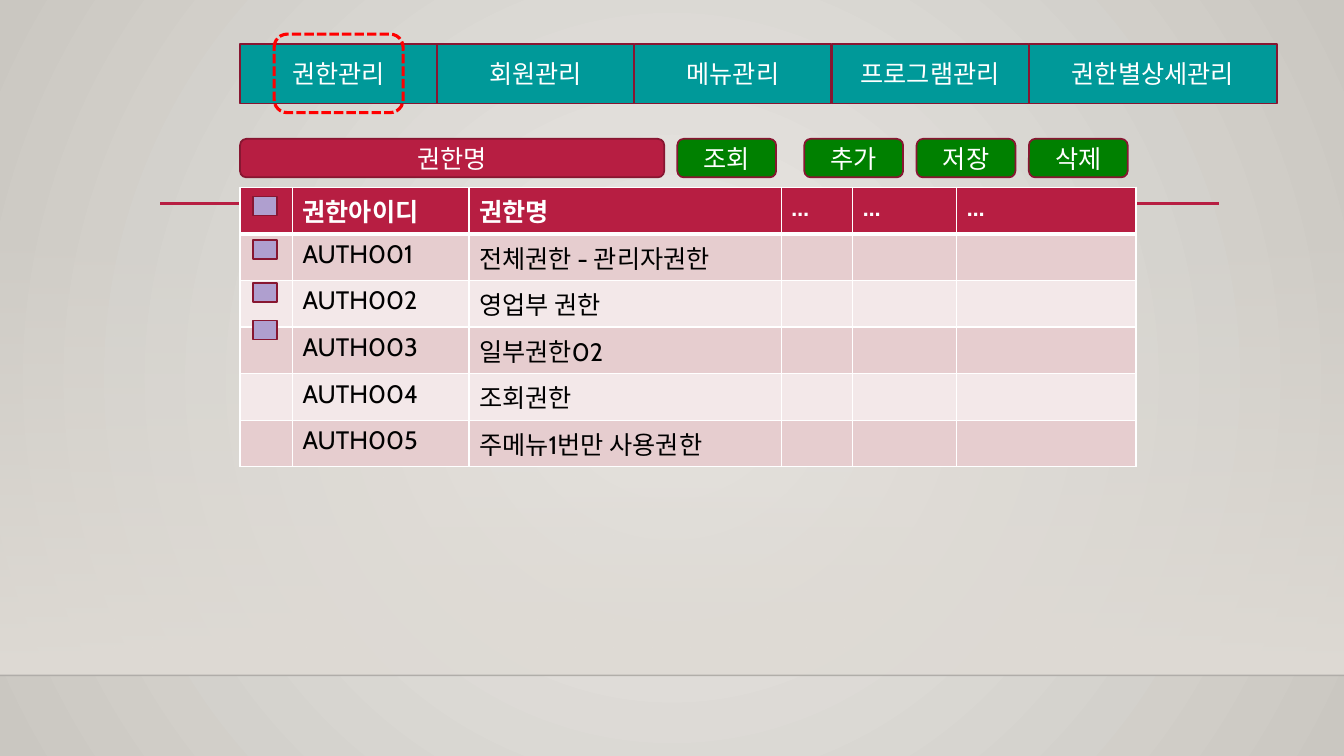
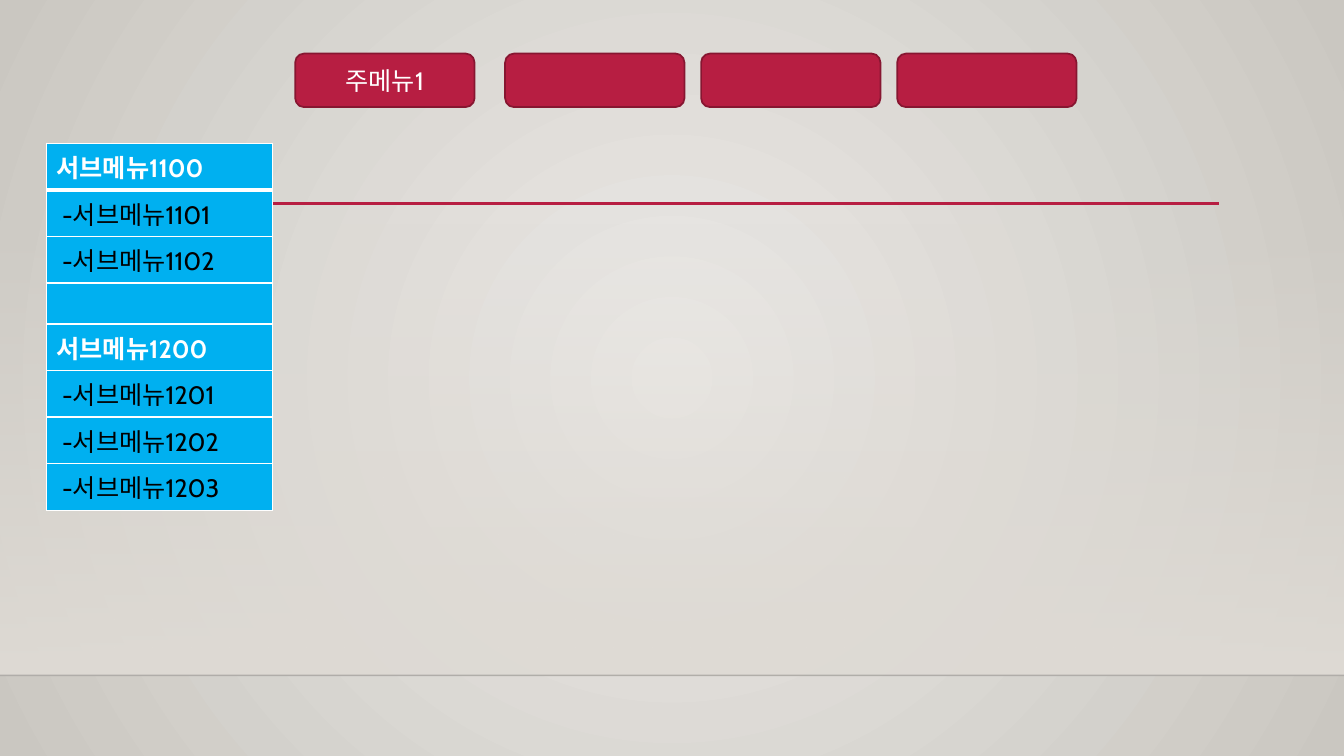
from pptx import Presentation
from pptx.dml.color import RGBColor
from pptx.enum.dml import MSO_LINE
from pptx.enum.shapes import MSO_CONNECTOR, MSO_SHAPE
from pptx.enum.text import MSO_ANCHOR, PP_ALIGN
from pptx.oxml.ns import qn
from pptx.util import Cm, Pt
from lxml.etree import SubElement

CRIMSON = RGBColor(0xB7, 0x1E, 0x42)
DARK_CRIMSON = RGBColor(0x87, 0x16, 0x31)
TEAL = RGBColor(0x00, 0x99, 0x99)
GREEN = RGBColor(0x00, 0x80, 0x00)
LILAC = RGBColor(0xAF, 0x9F, 0xCF)
SKY = RGBColor(0x00, 0xB0, 0xF0)
RED = RGBColor(0xFF, 0x00, 0x00)
WHITE = RGBColor(0xFF, 0xFF, 0xFF)
BLACK = RGBColor(0x00, 0x00, 0x00)
NEAR_BLACK = RGBColor(0x00, 0x00, 0x01)
ROSE = RGBColor(0xE6, 0xCD, 0xCF)
PALE_ROSE = RGBColor(0xF3, 0xE8, 0xE9)
GLOW = RGBColor(0xEC, 0xEA, 0xE7)
GLOW_EDGE = RGBColor(0xCA, 0xC7, 0xC1)
WALL = RGBColor(0xDF, 0xDB, 0xD5)

FONT = "Cabin"
SLIDE_WIDTH, SLIDE_HEIGHT = 33.87, 19.05
FLOOR_TOP = 17.02
ROW_HEIGHT = 1.03


def write_text(frame, text, color=WHITE, size=18, bold=False, align=PP_ALIGN.LEFT):
    """Write one formatted line of text into a text frame."""
    paragraph = frame.paragraphs[0]
    paragraph.alignment = align
    run = paragraph.add_run()
    run.text = text
    run.font.name = FONT
    run.font.size = Pt(size)
    run.font.bold = bold
    run.font.color.rgb = color


def set_opacity(element, percent):
    """Make the first RGB colour inside an element partly transparent."""
    color = next(element.iter(qn("a:srgbClr")))
    SubElement(color, qn("a:alpha")).set("val", str(percent * 1000))


def add_box(slide, box, fill=None, text="", kind=MSO_SHAPE.RECTANGLE,
            line=DARK_CRIMSON, line_width=1.25):
    """Add a preset shape with optional fill, outline and centred text."""
    shape = slide.shapes.add_shape(kind, *map(Cm, box))
    shape.shadow.inherit = False
    if fill is None:
        shape.fill.background()
    else:
        shape.fill.solid()
        shape.fill.fore_color.rgb = fill
    if line is None:
        shape.line.fill.background()
    else:
        shape.line.color.rgb = line
        shape.line.width = Pt(line_width)
    if text:
        shape.text_frame.word_wrap = True
        shape.text_frame.vertical_anchor = MSO_ANCHOR.MIDDLE
        write_text(shape.text_frame, text, align=PP_ALIGN.CENTER)
    return shape


def add_rule(slide, left, right, top, color, width):
    """Add a horizontal line without a shadow."""
    rule = slide.shapes.add_connector(
        MSO_CONNECTOR.STRAIGHT, Cm(left), Cm(top), Cm(right), Cm(top))
    rule.line.color.rgb = color
    rule.line.width = Pt(width)
    SubElement(rule.element.spPr, qn("a:effectLst"))
    return rule


def set_gradient(fill, *colors):
    """Give a fill a two-colour gradient."""
    fill.gradient()
    for stop, color, position in zip(fill.gradient_stops, colors, (0, 1)):
        stop.color.rgb = color
        stop.position = position


def decorate_master(master, slide):
    """Set the shared background and move the shared band and rules to the master."""
    set_gradient(master.background.fill, GLOW, GLOW_EDGE)
    gradient = next(master.element.iter(qn("a:gradFill")))
    gradient.remove(gradient.find(qn("a:lin")))
    circle = SubElement(gradient, qn("a:path"), path="circle")
    SubElement(circle, qn("a:fillToRect"), dict.fromkeys("ltrb", "50000"))

    wall_top = 5.61
    wall = add_box(slide, (0, wall_top, SLIDE_WIDTH, FLOOR_TOP - wall_top), line=None)
    set_gradient(wall.fill, WALL, WALL)
    wall.fill.gradient_angle = 270
    set_opacity(wall.element.spPr, 0)
    floor_edge = add_rule(slide, 0, SLIDE_WIDTH, FLOOR_TOP, NEAR_BLACK, 1)
    set_opacity(floor_edge.element.spPr, 20)
    title_rule = add_rule(slide, 4.04, 30.73, 5.13, CRIMSON, 2.5)
    for number, shape in enumerate((wall, floor_edge, title_rule), start=101):
        next(shape.element.iter(qn("p:cNvPr"))).set("id", str(number))
        master.element.cSld.spTree.append(shape.element)


def set_borders(cell, **widths):
    """Draw white cell borders, 1 point wide unless a side is named."""
    properties = cell._tc.get_or_add_tcPr()
    for side in "LRTB":
        border = SubElement(properties, qn(f"a:ln{side}"),
                            w=str(Pt(widths.get(side, 1))))
        solid = SubElement(border, qn("a:solidFill"))
        SubElement(solid, qn("a:srgbClr"), val=str(WHITE))


def add_grid(slide, left, top, columns, rows, fills, headings=(0,)):
    """Add a table whose heading rows are bold white; fills holds one colour per row."""
    frame = slide.shapes.add_table(len(rows), len(columns), Cm(left), Cm(top),
                                   Cm(sum(columns)), Cm(ROW_HEIGHT * len(rows)))
    table = frame.table
    for column, width in zip(table.columns, columns):
        column.width = Cm(width)
    for row_index, (texts, fill) in enumerate(zip(rows, fills)):
        table.rows[row_index].height = Cm(ROW_HEIGHT)
        heading = row_index in headings
        thick = {0: {"B": 3}, 1: {"T": 3}}.get(row_index, {})
        for column_index, text in enumerate(texts):
            cell = table.cell(row_index, column_index)
            set_borders(cell, **thick)
            cell.fill.solid()
            cell.fill.fore_color.rgb = fill
            if text:
                write_text(cell.text_frame, text, bold=heading,
                           color=WHITE if heading else BLACK)


def add_tabs(slide, left, top):
    """Add the row of management tabs and mark the current one."""
    labels = ("권한관리", "회원관리", "메뉴관리", "프로그램관리", "권한별상세관리")
    for index, label in enumerate(labels):
        width = 6.25 if label == labels[-1] else 4.96
        add_box(slide, (left + 4.97 * index, top, width, 1.5), TEAL, label)
    marker = add_box(slide, (left + 0.86, top - 0.25, 3.25, 1.98),
                     kind=MSO_SHAPE.ROUNDED_RECTANGLE, line=RED, line_width=2.25)
    marker.line.dash_style = MSO_LINE.SQUARE_DOT
    next(marker.element.iter(qn("a:prstDash"))).set("val", "sysDash")


def add_search_bar(slide, left, top):
    """Add the search field and its action buttons."""
    rounded = MSO_SHAPE.ROUNDED_RECTANGLE
    add_box(slide, (left, top, 10.69, 0.97), CRIMSON, "권한명", rounded)
    buttons = {"조회": 11.02, "추가": 14.22, "저장": 17.05, "삭제": 19.88}
    for label, offset in buttons.items():
        add_box(slide, (left + offset, top, 2.49, 0.97), GREEN, label, rounded)


def add_authority_table(slide, left, top):
    """Add the table of authorities with its check boxes."""
    authorities = ("전체권한 - 관리자권한", "영업부 권한", "일부권한02",
                   "조회권한", "주메뉴1번만 사용권한")
    rows = [("", "권한아이디", "권한명", "…", "…", "…")]
    rows += [("", f"AUTH{number:03}", name, "", "", "")
             for number, name in enumerate(authorities, start=1)]
    fills = [CRIMSON] + [(ROSE, PALE_ROSE)[index % 2] for index in range(len(authorities))]
    add_grid(slide, left, top, (1.32, 4.45, 7.87, 1.8, 2.62, 4.52), rows, fills)
    for offset in (0.23, 1.33, 2.42, 3.36):
        add_box(slide, (left + 0.33, top + offset, 0.61, 0.48), LILAC)


def add_main_menu(slide, left, top):
    """Add the four main menu buttons."""
    for offset, label in ((0, "주메뉴1"), (5.29, ""), (10.23, ""), (15.17, "")):
        add_box(slide, (left + offset, top, 4.52, 1.35), CRIMSON, label,
                MSO_SHAPE.ROUNDED_RECTANGLE)


def add_side_menu(slide, left, top):
    """Add the side menu with its two groups."""
    labels = ("서브메뉴1100", " -서브메뉴1101", " -서브메뉴1102", "",
              "서브메뉴1200", " -서브메뉴1201", " -서브메뉴1202", " -서브메뉴1203")
    add_grid(slide, left, top, (5.69,), [(label,) for label in labels],
             [SKY] * len(labels), headings=(0, 4))


def build_authority_slide(slide):
    """Fill the authority management slide."""
    add_tabs(slide, 6.05, 1.11)
    add_search_bar(slide, 6.05, 3.5)
    add_authority_table(slide, 6.05, 4.72)


def build_menu_slide(slide):
    """Fill the menu layout slide."""
    add_main_menu(slide, 7.44, 1.35)
    add_side_menu(slide, 1.17, 3.61)


def main():
    """Build and save the presentation."""
    presentation = Presentation()
    presentation.slide_width = Cm(SLIDE_WIDTH)
    presentation.slide_height = Cm(SLIDE_HEIGHT)
    blank = presentation.slide_layouts[6]
    authority_slide = presentation.slides.add_slide(blank)
    decorate_master(presentation.slide_master, authority_slide)
    build_authority_slide(authority_slide)
    build_menu_slide(presentation.slides.add_slide(blank))
    presentation.save("out.pptx")


if __name__ == "__main__":
    main()
